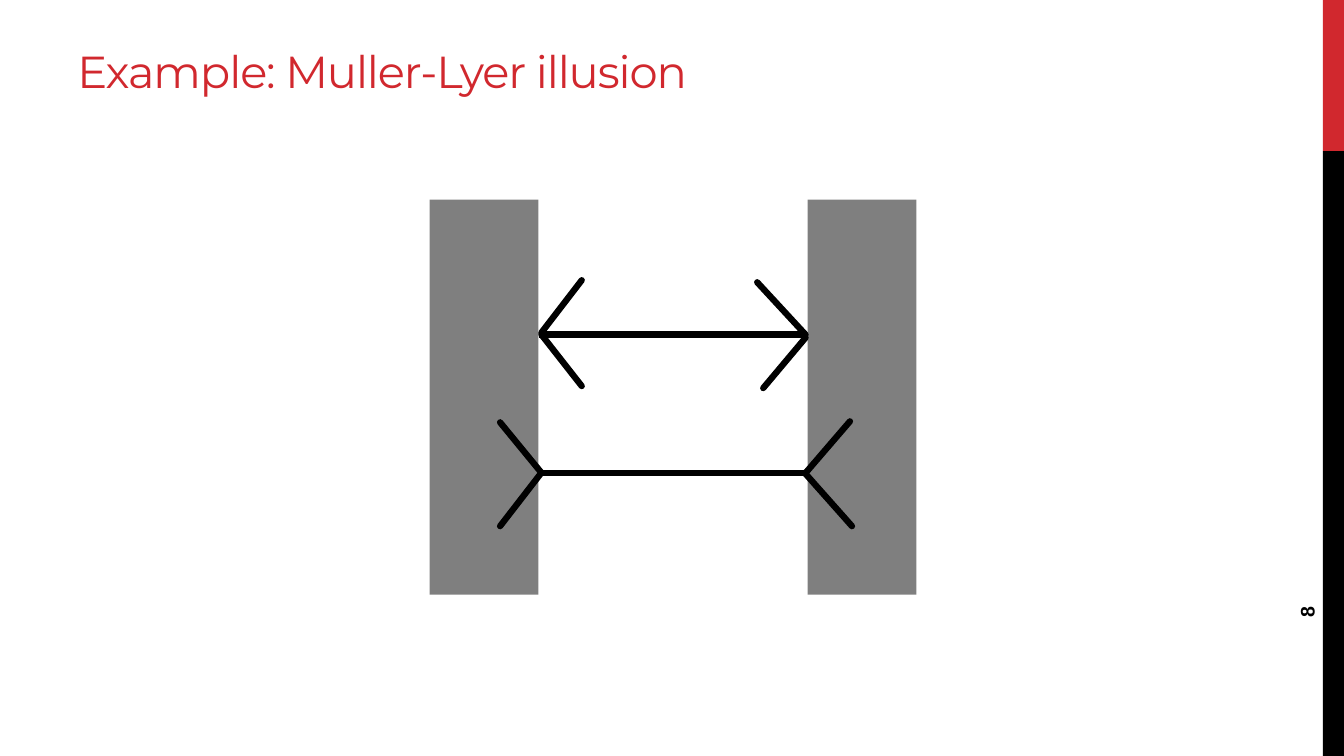
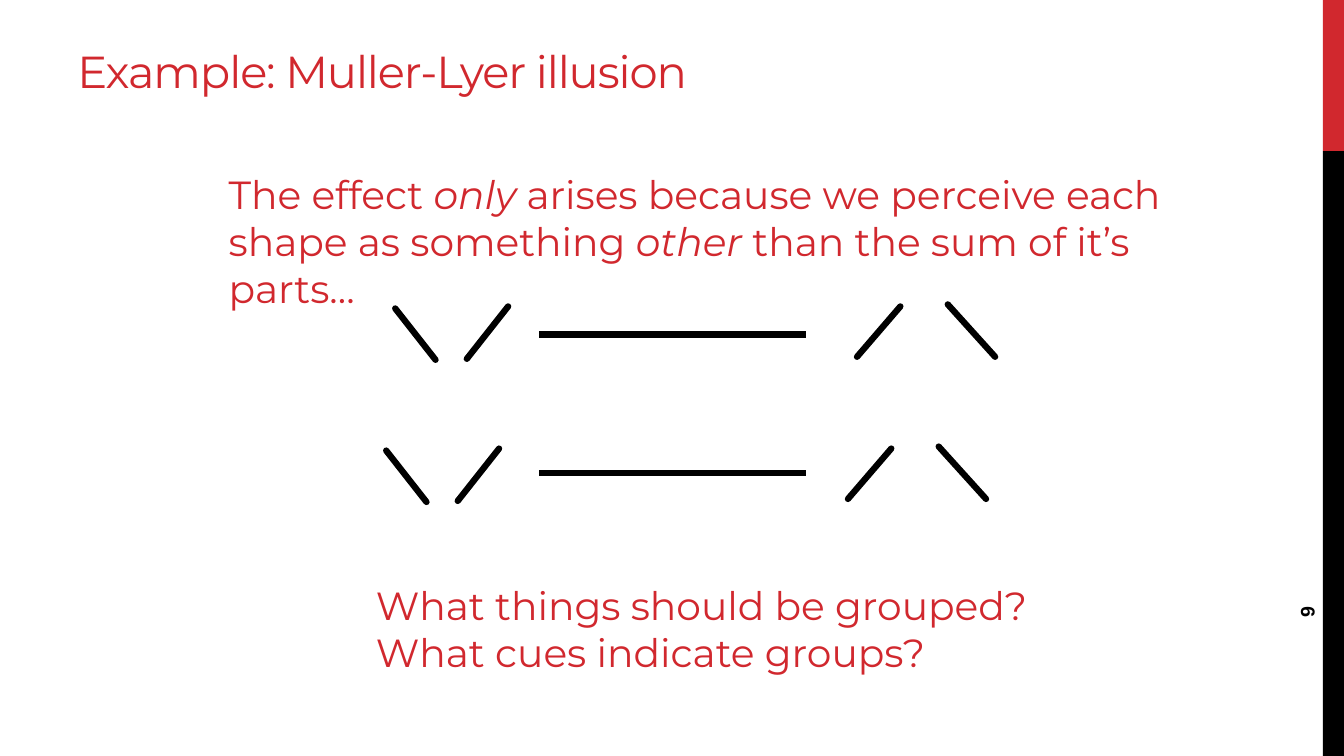
from dataclasses import dataclass

from lxml.etree import SubElement
from pptx import Presentation
from pptx.dml.color import RGBColor
from pptx.enum.shapes import MSO_CONNECTOR as Connector, MSO_SHAPE as Shape
from pptx.enum.text import MSO_ANCHOR as Anchor, PP_ALIGN as Align
from pptx.oxml.ns import qn
from pptx.shapes.shapetree import _BaseGroupShapes as Shapes
from pptx.slide import Slide
from pptx.util import Emu, Pt


@dataclass(frozen=True)
class Theme:
    """Colours, fonts and type sizes of the deck."""
    red: RGBColor = RGBColor(0xD1, 0x28, 0x2E)
    black: RGBColor = RGBColor(0, 0, 0)
    font: str = "Montserrat"
    number_font: str = "Arial"
    title: int = 32
    body: int = 28
    number: int = 14
    tracking: int = -80
    stroke: float = 4.5


@dataclass(frozen=True)
class Box:
    """A rectangle in px."""
    x: int
    y: int
    w: int
    h: int


@dataclass(frozen=True)
class Line:
    """A straight stroke in px."""
    x1: int
    y1: int
    x2: int
    y2: int

    def moved(self, dx: int, dy: int) -> "Line":
        """Return the stroke shifted by an offset."""
        return Line(self.x1 + dx, self.y1 + dy, self.x2 + dx, self.y2 + dy)


@dataclass(frozen=True)
class Span:
    """A piece of text, upright or italic."""
    text: str
    italic: bool = False


@dataclass(frozen=True)
class TextStyle:
    """The look of a text box."""
    size: int
    color: RGBColor
    font: str
    bold: bool = False
    tracking: int = 0
    anchor: Anchor = Anchor.TOP
    align: Align = Align.LEFT
    rotation: int = 0


THEME = Theme()
PX = 9144
WIDTH, HEIGHT = 1333, 750
BAND_X, BAND_SPLIT = 1312, 150

TITLE = TextStyle(THEME.title, THEME.red, THEME.font,
                  tracking=THEME.tracking, anchor=Anchor.MIDDLE)
BODY = TextStyle(THEME.body, THEME.red, THEME.font)
NUMBER = TextStyle(THEME.number, THEME.black, THEME.number_font, bold=True,
                   anchor=Anchor.MIDDLE, align=Align.RIGHT, rotation=270)

SHAFTS = [Line(535, y, 799, y) for y in (332, 469)]
ATTACHED_FINS = [
    Line(537, 330, 577, 278), Line(537, 332, 577, 383),
    Line(751, 280, 799, 332), Line(799, 335, 757, 385),
    Line(496, 419, 537, 469), Line(496, 522, 537, 469),
    Line(843, 418, 800, 468), Line(798, 469, 845, 522),
]
LOOSE_FINS = [
    Line(463, 356, 504, 304), Line(940, 302, 987, 354),
    Line(392, 306, 432, 357), Line(893, 304, 850, 354),
]
LOOSE_OFFSETS = [(0, 0), (-9, 141)]
PILLARS = [Box(x, 198, 108, 392) for x in (801, 426)]

EFFECT = [[
    Span("The effect "), Span("only", True),
    Span(" arises because we perceive each shape as something "),
    Span("other", True), Span(" than the sum of it’s parts…"),
]]
QUESTIONS = [[Span("What things should be grouped?")],
             [Span("What cues indicate groups?")]]


def px(value: int) -> Emu:
    """Convert px to EMU."""
    return Emu(value * PX)


def add_rect(shapes: Shapes, box: Box, color: RGBColor, alpha: int = 100) -> None:
    """Draw a borderless rectangle with an opacity in percent."""
    s = shapes.add_shape(Shape.RECTANGLE, px(box.x), px(box.y), px(box.w), px(box.h))
    s.shadow.inherit = False
    s.fill.solid()
    s.fill.fore_color.rgb = color
    s.line.fill.background()
    if alpha < 100:
        clr = s.fill._xPr.find(qn("a:solidFill")).find(qn("a:srgbClr"))
        SubElement(clr, qn("a:alpha")).set("val", str(alpha * 1000))


def add_line(shapes: Shapes, line: Line, cap: str = "flat") -> None:
    """Draw a thick black stroke."""
    s = shapes.add_connector(Connector.STRAIGHT, px(line.x1), px(line.y1),
                             px(line.x2), px(line.y2))
    s.line.color.rgb = THEME.black
    s.line.width = Pt(THEME.stroke)
    sp = s._element.spPr
    sp.find(qn("a:ln")).set("cap", cap)
    SubElement(sp, qn("a:effectLst"))


def add_text(shapes: Shapes, box: Box, lines: list[list[Span]], style: TextStyle) -> None:
    """Write one paragraph whose lines are parted by line breaks."""
    s = shapes.add_textbox(px(box.x), px(box.y), px(box.w), px(box.h))
    s.rotation = style.rotation
    tf = s.text_frame
    tf.word_wrap = True
    tf.vertical_anchor = style.anchor
    p = tf.paragraphs[0]
    p.alignment = style.align
    p.font.size = Pt(style.size)
    p.font.name = style.font
    p.font.bold = style.bold
    p.font.color.rgb = style.color
    for i, spans in enumerate(lines):
        if i:
            p.add_line_break()
        for span in spans:
            r = p.add_run()
            r.text = span.text
            if span.italic:
                r.font.italic = True
            if style.tracking:
                r._r.get_or_add_rPr().set("spc", str(style.tracking))


def add_base(prs: Presentation, number: int) -> Slide:
    """Add a slide with side bands, title, number and the two shafts."""
    slide = prs.slides.add_slide(prs.slide_layouts[6])
    shapes = slide.shapes
    band_w = WIDTH - BAND_X
    add_rect(shapes, Box(BAND_X, 0, band_w, BAND_SPLIT), THEME.red)
    add_rect(shapes, Box(BAND_X, BAND_SPLIT, band_w, HEIGHT - BAND_SPLIT), THEME.black)
    add_text(shapes, Box(67, 17, 1198, 106),
             [[Span("Example: Muller-Lyer illusion")]], TITLE)
    add_text(shapes, Box(1224, 637, 144, 53), [[Span(str(number))]], NUMBER)
    for shaft in SHAFTS:
        add_line(shapes, shaft)
    return slide


def build_illusion(prs: Presentation) -> None:
    """Build the slide with complete arrows between pillars."""
    shapes = add_base(prs, 8).shapes
    for fin in ATTACHED_FINS:
        add_line(shapes, fin, "rnd")
    for pillar in PILLARS:
        add_rect(shapes, pillar, THEME.black, 50)


def build_parts(prs: Presentation) -> None:
    """Build the slide with the arrows taken apart."""
    shapes = add_base(prs, 9).shapes
    add_text(shapes, Box(363, 572, 900, 125), QUESTIONS, BODY)
    add_text(shapes, Box(217, 164, 950, 125), EFFECT, BODY)
    for dx, dy in LOOSE_OFFSETS:
        group = shapes.add_group_shape()
        for fin in LOOSE_FINS:
            add_line(group.shapes, fin.moved(dx, dy), "rnd")


def main() -> None:
    """Build and save the deck."""
    prs = Presentation()
    prs.slide_width, prs.slide_height = px(WIDTH), px(HEIGHT)
    build_illusion(prs)
    build_parts(prs)
    prs.save("out.pptx")


if __name__ == "__main__":
    main()
